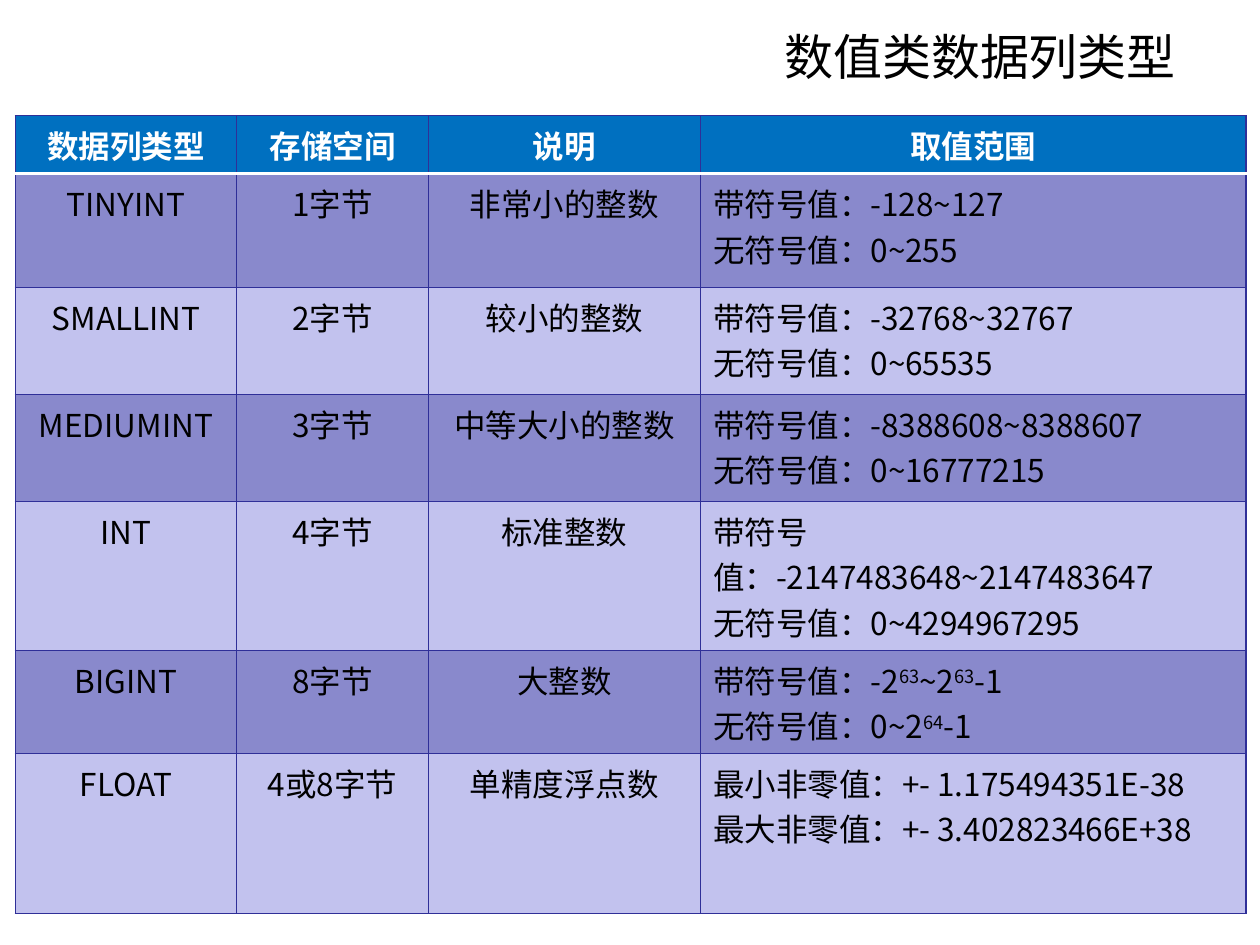
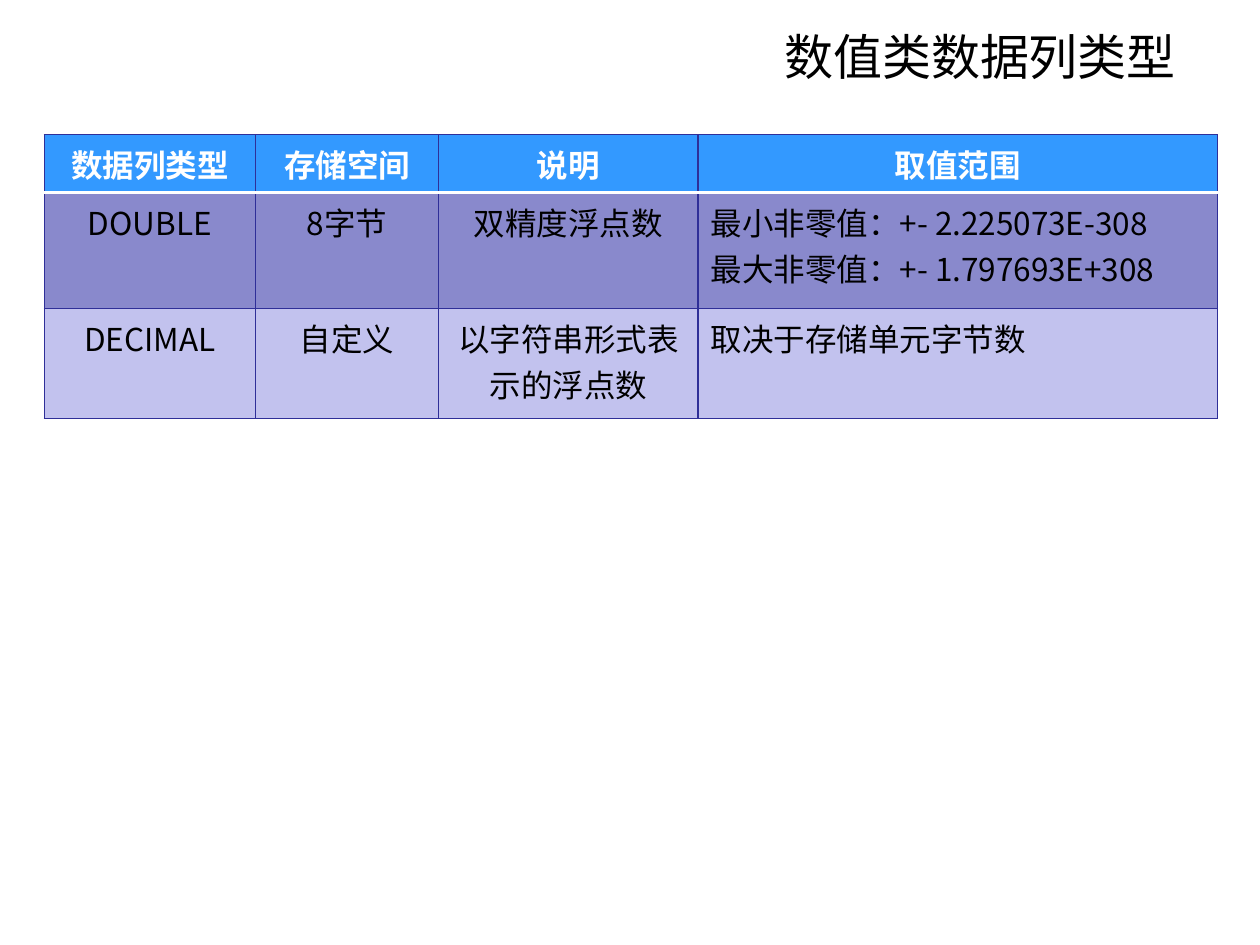
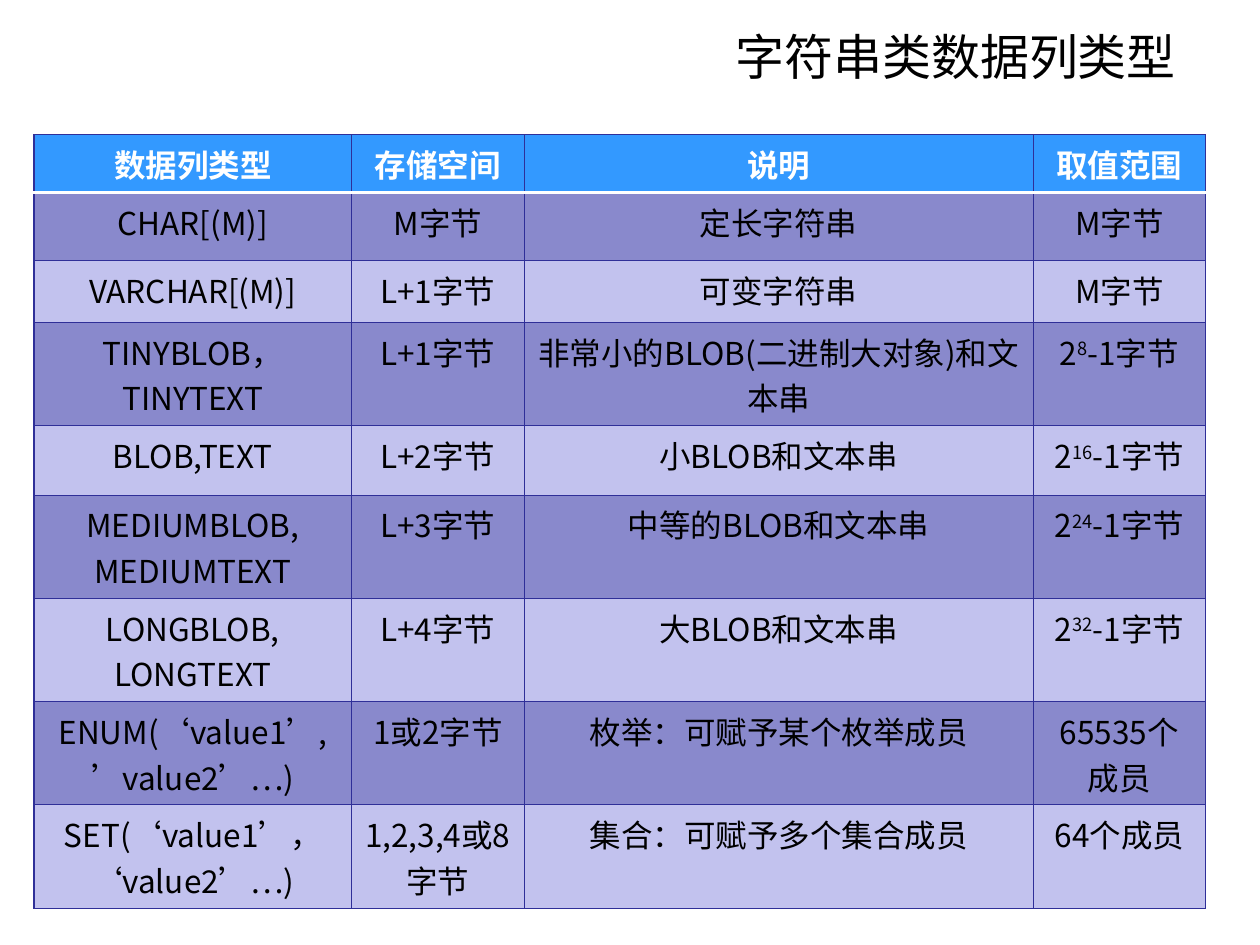
import dataclasses

import pptx
import pptx.dml.color
import pptx.enum.text
import pptx.oxml.ns
import pptx.util
from lxml import etree

Inches = pptx.util.Inches
Align = pptx.enum.text.PP_ALIGN
Anchor = pptx.enum.text.MSO_ANCHOR


@dataclasses.dataclass(frozen=True)
class Theme:
    font: str = "Noto Sans CJK SC"
    title_size: float = 28
    table_size: float = 18
    ink: str = "000000"
    white: str = "FFFFFF"
    border: str = "2F2F98"
    border_width: float = 0.75
    header_rule: float = 2
    bands: tuple = ("8989CC", "C2C2EE")
    deep_blue: str = "0070C0"
    light_blue: str = "3399FF"


THEME = Theme()
TITLE_AREA = (2.32, 0.13, 7.11, 0.62)
HEADINGS = ("数据列类型", "存储空间", "说明", "取值范围")
ONE_LINE, TWO_LINES, THREE_LINES = 0.46, 0.82, 1.18

SLIDES = [
    {
        "title": "数值类数据列类型",
        "header": THEME.deep_blue,
        "origin": (0.12, 0.92),
        "columns": (1.76, 1.52, 2.16, 4.33),
        "heights": (ONE_LINE, 0.9, 0.85, 0.85, THREE_LINES, TWO_LINES, 1.27),
        "range_align": Align.LEFT,
        "rows": [
            ("TINYINT", "1字节", "非常小的整数", "带符号值：-128~127\n无符号值：0~255"),
            ("SMALLINT", "2字节", "较小的整数", "带符号值：-32768~32767\n无符号值：0~65535"),
            ("MEDIUMINT", "3字节", "中等大小的整数", "带符号值：-8388608~8388607\n无符号值：0~16777215"),
            ("INT", "4字节", "标准整数", "带符号值：-2147483648~2147483647\n无符号值：0~4294967295"),
            ("BIGINT", "8字节", "大整数", "带符号值：-2^63^~2^63^-1\n无符号值：0~2^64^-1"),
            ("FLOAT", "4或8字节", "单精度浮点数", "最小非零值：+- 1.175494351E-38\n最大非零值：+- 3.402823466E+38"),
        ],
    },
    {
        "title": "数值类数据列类型",
        "header": THEME.light_blue,
        "origin": (0.35, 1.07),
        "columns": (1.68, 1.45, 2.06, 4.12),
        "heights": (ONE_LINE, 0.92, 0.87),
        "range_align": Align.LEFT,
        "rows": [
            ("DOUBLE", "8字节", "双精度浮点数", "最小非零值：+- 2.225073E-308\n最大非零值：+- 1.797693E+308"),
            ("DECIMAL", "自定义", "以字符串形式表示的浮点数", "取决于存储单元字节数"),
        ],
    },
    {
        "title": "字符串类数据列类型",
        "header": THEME.light_blue,
        "origin": (0.27, 1.07),
        "columns": (2.52, 1.37, 4.04, 1.37),
        "heights": (ONE_LINE, 0.54, 0.49, TWO_LINES, 0.55) + (TWO_LINES,) * 4,
        "range_align": Align.CENTER,
        "rows": [
            ("CHAR[(M)]", "M字节", "定长字符串", "M字节"),
            ("VARCHAR[(M)]", "L+1字节", "可变字符串", "M字节"),
            ("TINYBLOB，TINYTEXT", "L+1字节", "非常小的BLOB(二进制大对象)和文本串", "2^8^-1字节"),
            ("BLOB,TEXT", "L+2字节", "小BLOB和文本串", "2^16^-1字节"),
            ("MEDIUMBLOB,\nMEDIUMTEXT", "L+3字节", "中等的BLOB和文本串", "2^24^-1字节"),
            ("LONGBLOB,\nLONGTEXT", "L+4字节", "大BLOB和文本串", "2^32^-1字节"),
            ("ENUM(‘value1’,’value2’…)", "1或2字节", "枚举：可赋予某个枚举成员", "65535个成员"),
            ("SET(‘value1’，‘value2’…)", "1,2,3,4或8字节", "集合：可赋予多个集合成员", "64个成员"),
        ],
    },
]


def rgb(value):
    return pptx.dml.color.RGBColor.from_string(value)


def child(parent, tag, **attributes):
    return etree.SubElement(parent, pptx.oxml.ns.qn(tag), **attributes)


def write(frame, text, size=THEME.table_size, color=THEME.ink, bold=False, align=Align.CENTER):
    for index, line in enumerate(text.split("\n")):
        para = frame.add_paragraph() if index else frame.paragraphs[0]
        para.alignment = align
        for position, part in enumerate(line.split("^")):
            span = para.add_run()
            span.text = part
            span.font.name = THEME.font
            span.font.size = pptx.util.Pt(size)
            span.font.bold = bold
            span.font.color.rgb = rgb(color)
            properties = span.font._element
            child(properties, "a:ea", typeface=THEME.font)
            if position % 2:
                properties.set("baseline", "30000")


def set_borders(cell, row):
    plain = (THEME.border, THEME.border_width)
    rule = (THEME.white, THEME.header_rule)
    sides = {
        "a:lnL": plain,
        "a:lnR": plain,
        "a:lnT": rule if row == 1 else plain,
        "a:lnB": rule if row == 0 else plain,
    }
    properties = cell._tc.get_or_add_tcPr()
    for tag, (color, width) in sides.items():
        line = child(properties, tag, w=str(pptx.util.Pt(width)))
        child(child(line, "a:solidFill"), "a:srgbClr", val=color)


def add_title(page, text):
    box = page.shapes.add_textbox(*map(Inches, TITLE_AREA))
    frame = box.text_frame
    frame.word_wrap = True
    frame.vertical_anchor = Anchor.MIDDLE
    write(frame, text, size=THEME.title_size, align=Align.RIGHT)


def add_type_table(page, content):
    rows = [HEADINGS] + content["rows"]
    widths, heights = content["columns"], content["heights"]
    area = (*content["origin"], sum(widths), sum(heights))
    table = page.shapes.add_table(len(rows), len(widths), *map(Inches, area)).table
    table.horz_banding = False
    for column, width in zip(table.columns, widths):
        column.width = Inches(width)
    for row, (values, height) in enumerate(zip(rows, heights)):
        table.rows[row].height = Inches(height)
        for column, text in enumerate(values):
            cell = table.cell(row, column)
            set_borders(cell, row)
            cell.fill.solid()
            if row == 0:
                cell.fill.fore_color.rgb = rgb(content["header"])
                write(cell.text_frame, text, color=THEME.white, bold=True)
            else:
                cell.fill.fore_color.rgb = rgb(THEME.bands[(row - 1) % 2])
                last = column == len(widths) - 1
                align = content["range_align"] if last else Align.CENTER
                write(cell.text_frame, text, align=align)


deck = pptx.Presentation()
deck.slide_width, deck.slide_height = Inches(10), Inches(7.5)
for content in SLIDES:
    page = deck.slides.add_slide(deck.slide_layouts[6])
    add_title(page, content["title"])
    add_type_table(page, content)
deck.save("out.pptx")
